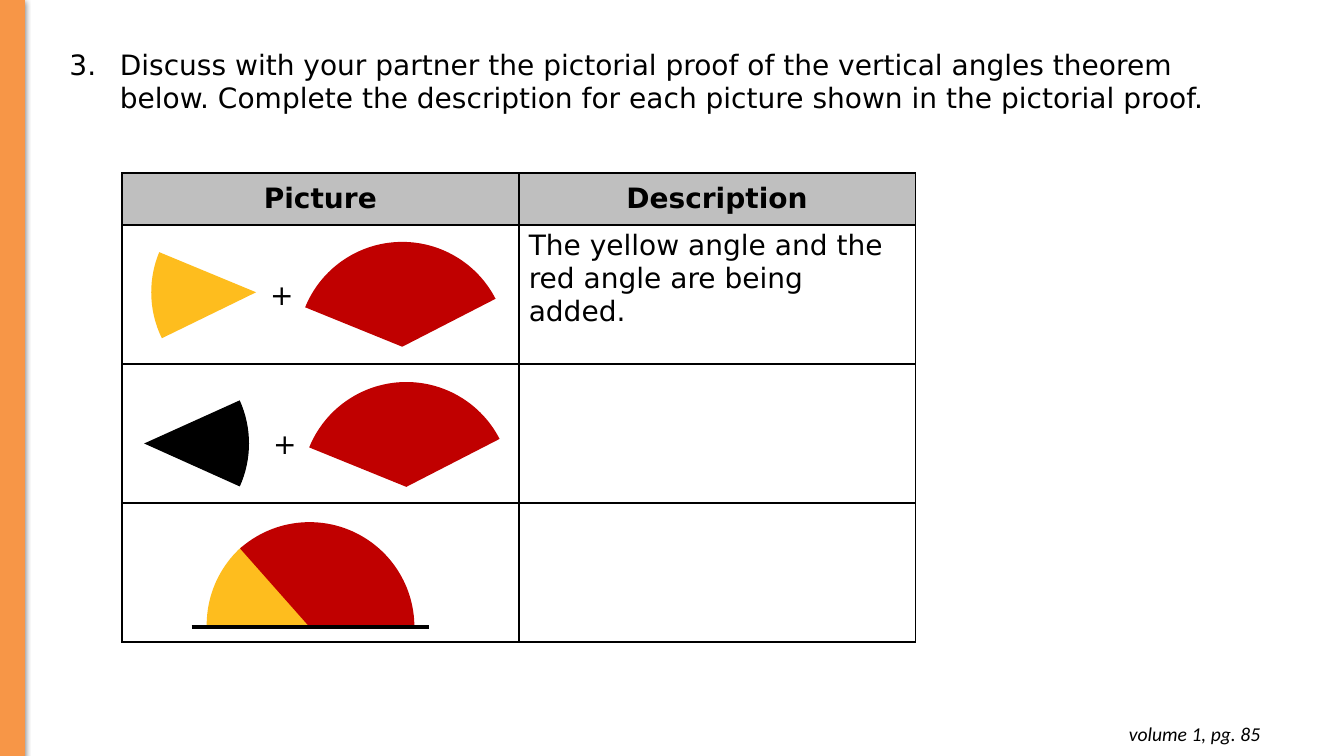
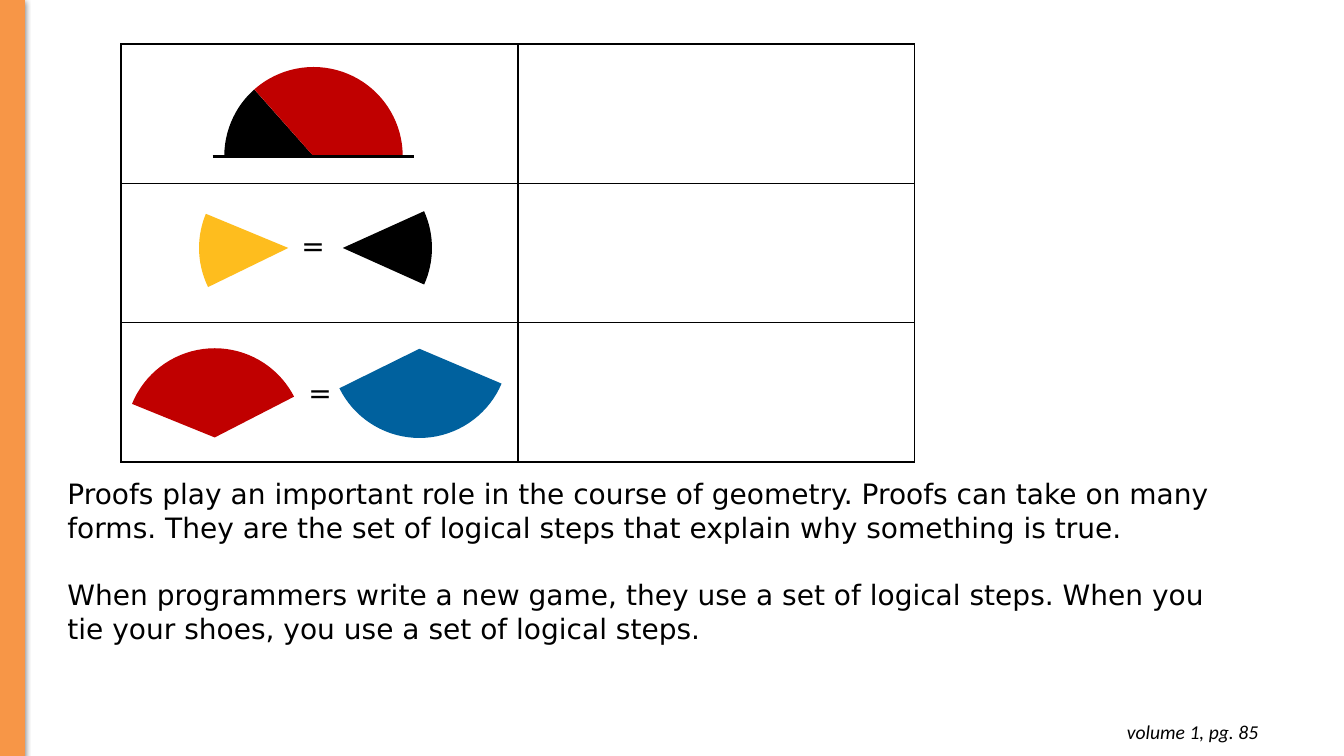
from lxml import etree
from pptx import Presentation
from pptx.dml.color import RGBColor
from pptx.enum import shapes, text
from pptx.oxml import parse_xml
from pptx.oxml.ns import nsdecls, qn
from pptx.util import Inches, Pt

COLOURS = {
    "black": "000000",
    "band": "F79647",
    "header": "BFBFBF",
    "yellow": "FEBD1E",
    "red": "C00000",
    "blue": "00619E",
}
BODY_FONT = "DejaVu Sans"
FOOTER_FONT = "Calibri"
FOOTER = "volume 1, pg. 85"
TABLE_WIDTH = 7.87
PICTURE_ROW = 1.38

ANGLES = {
    "opens left": (154, 202.5),
    "opens right": (335.7, 24.2),
    "opens up": (202.1, 332.8),
    "opens down": (23, 153.7),
    "left part": (179.9, 228.4),
    "right part": (228.5, 359.2),
}

SLIDES = [
    {
        "table": {
            "at": (1.21, 1.72),
            "heights": [0.51] + [PICTURE_ROW] * 3,
            "header": True,
            "rows": [
                ("Picture", "Description"),
                ("", "The yellow angle and the red angle are being added."),
                ("", ""),
                ("", ""),
            ],
        },
        "box": (0.59, 0.42, 12.01, 1.01),
        "number": 3,
        "paragraphs": [
            "Discuss with your partner the pictorial proof of the vertical angles theorem "
            "below. Complete the description for each picture shown in the pictorial proof.",
        ],
        "radius": 1.04,
        "sectors": [
            ("yellow", "opens left", 2.54, 2.9),
            ("red", "opens up", 3.99, 3.44),
            ("black", "opens right", 1.43, 4.4),
            ("red", "opens up", 4.03, 4.83),
            ("yellow", "left part", 3.09, 6.2),
            ("red", "right part", 3.07, 6.22),
        ],
        "signs": [("+", 2.58, 2.7), ("+", 2.61, 4.18)],
        "baseline": (1.9, 4.25, 6.22),
        "footer": (9.72, 7.06),
    },
    {
        "table": {
            "at": (1.2, 0.44),
            "heights": [PICTURE_ROW] * 3,
            "header": False,
            "rows": [("", "")] * 3,
        },
        "box": (0.57, 4.68, 11.82, 1.78),
        "number": None,
        "paragraphs": [
            "Proofs play an important role in the course of geometry. Proofs can take on many "
            "forms. They are the set of logical steps that explain why something is true.",
            "When programmers write a new game, they use a set of logical steps. When you "
            "tie your shoes, you use a set of logical steps.",
        ],
        "radius": 0.885,
        "sectors": [
            ("black", "left part", 3.11, 1.55),
            ("red", "right part", 3.11, 1.55),
            ("yellow", "opens left", 2.86, 2.46),
            ("black", "opens right", 3.4, 2.46),
            ("red", "opens up", 2.13, 4.34),
            ("blue", "opens down", 4.16, 3.46),
        ],
        "signs": [("=", 2.89, 2.22), ("=", 2.96, 3.68)],
        "baseline": (2.11, 4.11, 1.55),
        "footer": (9.7, 7.04),
    },
]


def colour(name):
    return RGBColor.from_string(COLOURS[name])


def style(paragraph, size=20, font=BODY_FONT, bold=False, italic=False):
    for run in paragraph.runs:
        run.font.size = Pt(size)
        run.font.name = font
        run.font.bold = bold
        run.font.italic = italic
        run.font.color.rgb = colour("black")


def add_text(slide, box, paragraphs, **looks):
    frame = slide.shapes.add_textbox(*map(Inches, box)).text_frame
    frame.word_wrap = True
    frame.text = "\n".join(paragraphs)
    for index, paragraph in enumerate(frame.paragraphs):
        style(paragraph, **looks)
        if index:
            paragraph.space_before = Pt(24)
    return frame


def number_paragraph(paragraph, start):
    properties = paragraph._p.get_or_add_pPr()
    properties.set("marL", str(Inches(0.5)))
    properties.set("indent", str(Inches(-0.5)))
    number = etree.SubElement(properties, qn("a:buAutoNum"))
    number.set("type", "arabicPeriod")
    number.set("startAt", str(start))


def add_borders(cell):
    properties = cell._tc.get_or_add_tcPr()
    for index, side in enumerate(("lnL", "lnR", "lnT", "lnB")):
        properties.insert(index, parse_xml(
            f'<a:{side} {nsdecls("a")} w="{Pt(1.5)}"><a:solidFill>'
            f'<a:srgbClr val="{COLOURS["black"]}"/></a:solidFill></a:{side}>'))


def add_table(slide, content):
    rows, heights = content["rows"], content["heights"]
    size = (TABLE_WIDTH, sum(heights))
    table = slide.shapes.add_table(
        len(rows), len(rows[0]), *map(Inches, content["at"] + size)).table
    table.first_row = content["header"]
    table.horz_banding = False
    for row, height in zip(table.rows, heights):
        row.height = Inches(height)
    for row_index, row in enumerate(rows):
        is_header = content["header"] and row_index == 0
        for column_index, words in enumerate(row):
            cell = table.cell(row_index, column_index)
            cell.text = words
            paragraph = cell.text_frame.paragraphs[0]
            style(paragraph, bold=is_header)
            if is_header:
                cell.fill.solid()
                cell.fill.fore_color.rgb = colour("header")
                cell.vertical_anchor = text.MSO_ANCHOR.MIDDLE
                paragraph.alignment = text.PP_ALIGN.CENTER
            else:
                cell.fill.background()
            add_borders(cell)


def add_filled(slide, kind, box, name):
    shape = slide.shapes.add_shape(kind, *map(Inches, box))
    shape.shadow.inherit = False
    shape.fill.solid()
    shape.fill.fore_color.rgb = colour(name)
    shape.line.fill.background()
    return shape


def add_band(slide):
    band = add_filled(slide, shapes.MSO_SHAPE.RECTANGLE, (0, 0, 0.24, 7.5), "band")
    band.line.color.rgb = colour("band")
    band.line.width = Pt(0.75)
    effects = band._element.spPr.find(qn("a:effectLst"))
    effects.append(parse_xml(
        f'<a:outerShdw {nsdecls("a")} blurRad="{Pt(4.5)}" dist="{Pt(1.5)}" dir="5400000" '
        f'rotWithShape="0"><a:srgbClr val="{COLOURS["black"]}">'
        f'<a:alpha val="50000"/></a:srgbClr></a:outerShdw>'))


def add_sector(slide, radius, name, angle, x, y):
    box = (x - radius, y - radius, 2 * radius, 2 * radius)
    sector = add_filled(slide, shapes.MSO_SHAPE.PIE, box, name)
    for index, degrees in enumerate(ANGLES[angle]):
        sector.adjustments[index] = degrees * 0.6


def add_baseline(slide, left, right, y):
    line = slide.shapes.add_connector(
        shapes.MSO_CONNECTOR.STRAIGHT, *map(Inches, (left, y, right, y)))
    line.line.color.rgb = colour("black")
    line.line.width = Pt(2.25)
    etree.SubElement(line._element.spPr, qn("a:effectLst"))


def add_footer(slide, position):
    frame = add_text(slide, position + (2.88, 0.44), [FOOTER],
                     size=14, font=FOOTER_FONT, italic=True)
    frame.margin_top = frame.margin_bottom = Inches(0.1)
    frame.paragraphs[0].alignment = text.PP_ALIGN.RIGHT


def build_slide(presentation, content):
    slide = presentation.slides.add_slide(presentation.slide_layouts[6])
    add_table(slide, content["table"])
    frame = add_text(slide, content["box"], content["paragraphs"])
    if content["number"]:
        number_paragraph(frame.paragraphs[0], content["number"])
    add_band(slide)
    for sector in content["sectors"]:
        add_sector(slide, content["radius"], *sector)
    for sign, left, top in content["signs"]:
        add_text(slide, (left, top, 0.75, 0.44), [sign])
    add_baseline(slide, *content["baseline"])
    add_footer(slide, content["footer"])


def main():
    presentation = Presentation()
    presentation.slide_width = Inches(13.33)
    presentation.slide_height = Inches(7.5)
    for content in SLIDES:
        build_slide(presentation, content)
    presentation.save("out.pptx")


if __name__ == "__main__":
    main()
